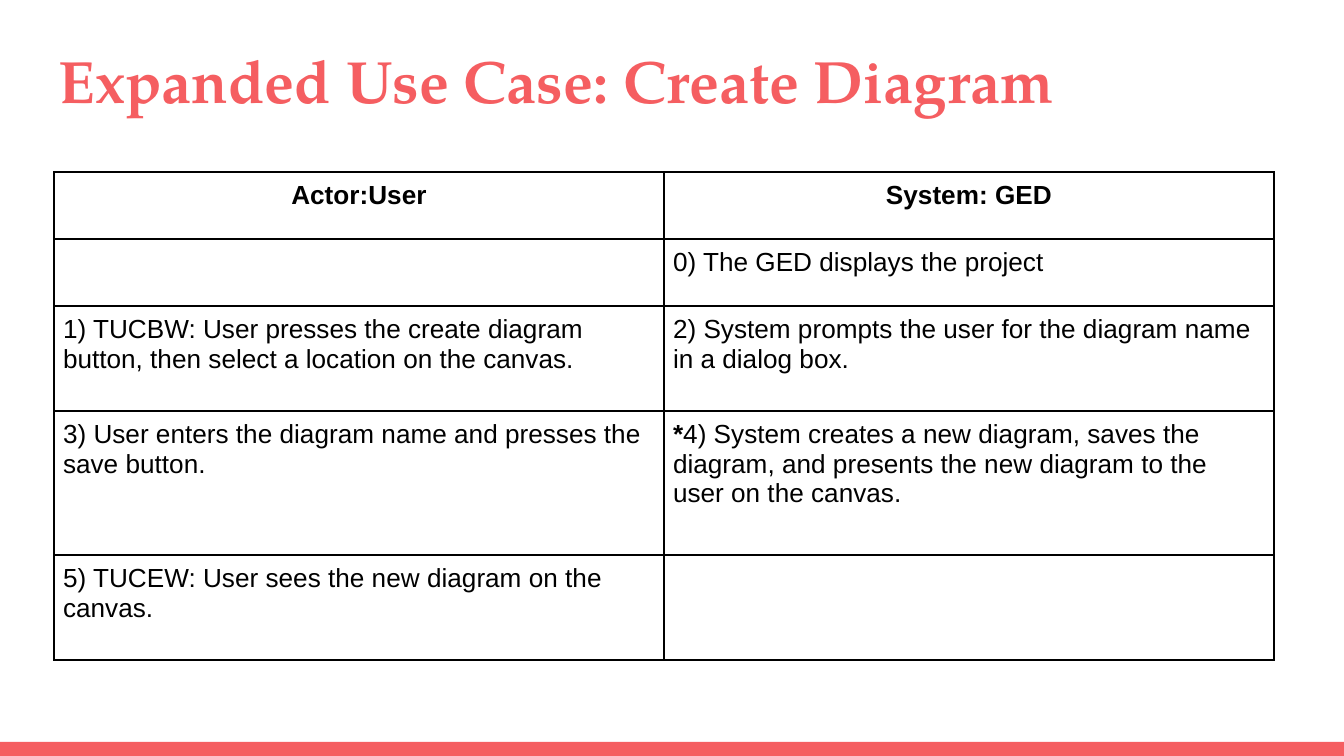
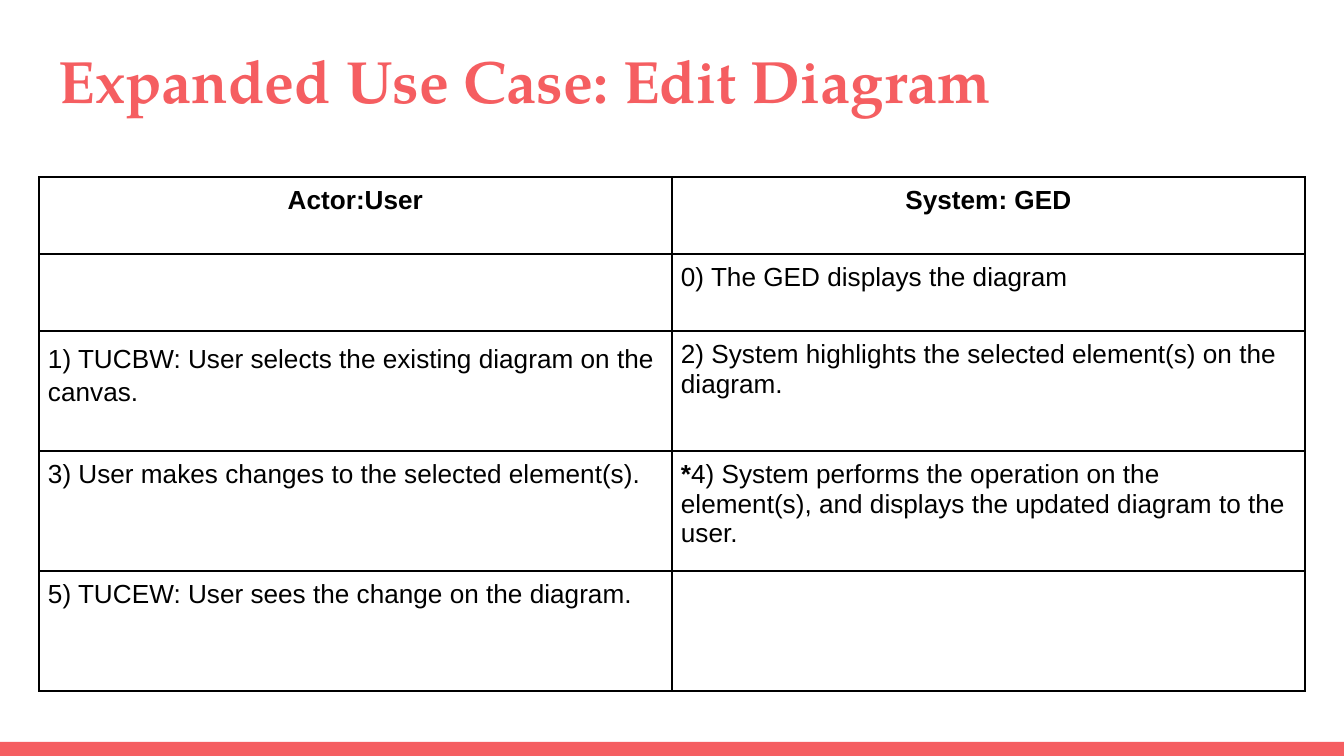
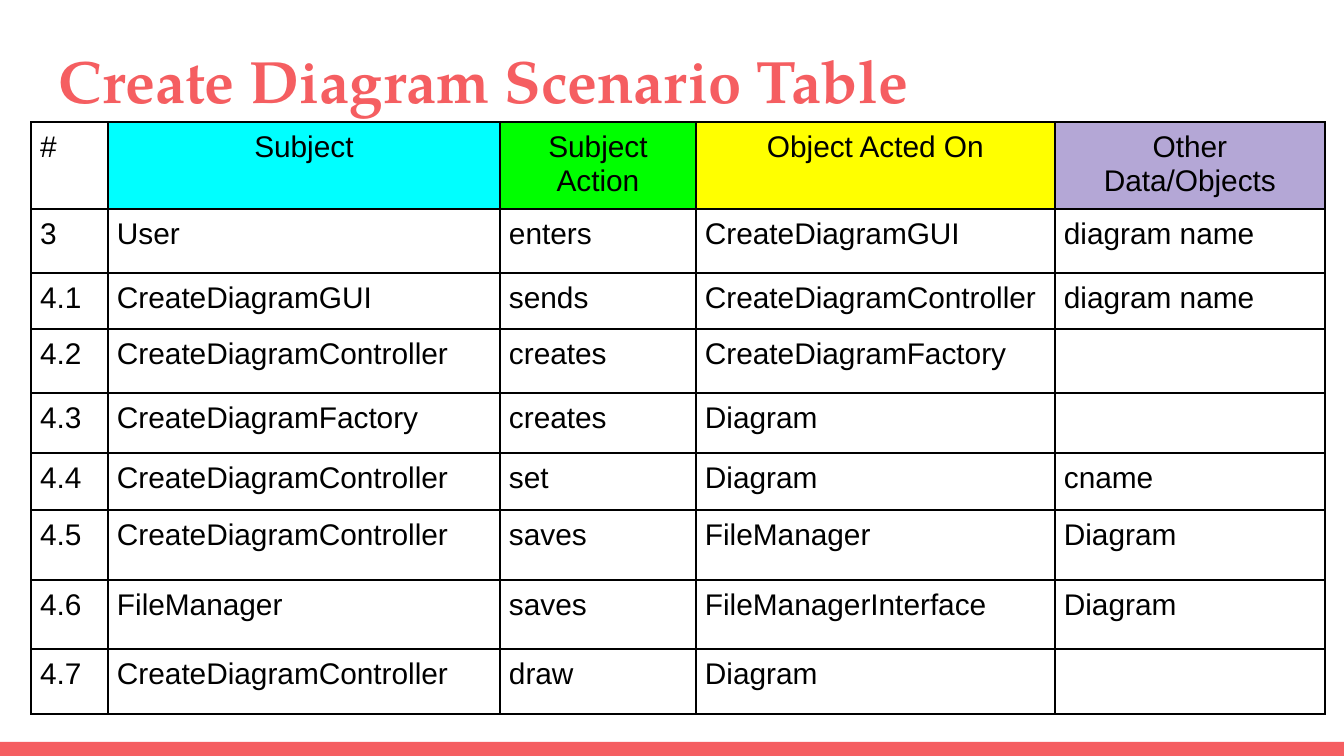
"""Build three slides of use case and scenario tables for a diagram editor."""
import pptx
import pptx.dml.color
import pptx.enum.shapes
import pptx.enum.text
import pptx.oxml
import pptx.oxml.ns
import pptx.util

RGB = pptx.dml.color.RGBColor
CORAL = RGB(0xF5, 0x5E, 0x61)
BLACK = RGB(0x00, 0x00, 0x00)
CYAN = RGB(0x00, 0xFF, 0xFF)
GREEN = RGB(0x00, 0xFF, 0x00)
YELLOW = RGB(0xFF, 0xFF, 0x00)
LILAC = RGB(0xB4, 0xA7, 0xD6)

ALIGN = pptx.enum.text.PP_ALIGN
ANCHOR = pptx.enum.text.MSO_ANCHOR
FIT = pptx.enum.text.MSO_AUTO_SIZE
SIDES = ("left", "top", "width", "height")
EDGES = ("margin_left", "margin_top", "margin_right", "margin_bottom")
WIDE, HIGH, BAND = 1344, 756, 14

HEAD = ("Actor:User", "System: GED")
CREATE = (
    HEAD,
    ("", "0) The GED displays the project"),
    ("1) TUCBW: User presses the create diagram button, then select a location on the canvas.",
     "2) System prompts the user for the diagram name in a dialog box."),
    ("3) User enters the diagram name and presses the save button.",
     "*4) System creates a new diagram, saves the diagram, and presents the new diagram "
     "to the user on the canvas."),
    ("5) TUCEW: User sees the new diagram on the canvas.", ""),
)
EDIT = (
    HEAD,
    ("", "0) The GED displays the diagram"),
    ("1) TUCBW: User selects the existing diagram on the canvas.",
     "2) System highlights the selected element(s) on the diagram."),
    ("3) User makes changes to the selected element(s).",
     "*4) System performs the operation on the element(s), and displays the updated "
     "diagram to the user."),
    ("5) TUCEW: User sees the change on the diagram.", ""),
)
SCENE = (
    ("#", "Subject", "Subject Action", "Object Acted On", "Other Data/Objects"),
    ("3", "User", "enters", "CreateDiagramGUI", "diagram name"),
    ("4.1", "CreateDiagramGUI", "sends", "CreateDiagramController", "diagram name"),
    ("4.2", "CreateDiagramController", "creates", "CreateDiagramFactory", ""),
    ("4.3", "CreateDiagramFactory", "creates", "Diagram", ""),
    ("4.4", "CreateDiagramController", "set", "Diagram", "cname"),
    ("4.5", "CreateDiagramController", "saves", "FileManager", "Diagram"),
    ("4.6", "FileManager", "saves", "FileManagerInterface", "Diagram"),
    ("4.7", "CreateDiagramController", "draw", "Diagram", ""),
)


def px(size):
    """Turn px into EMU."""
    return pptx.util.Emu(round(size * 914400 / 134.4))


def put(item, values):
    """Set each attribute of the item from a dict."""
    for name, value in values.items():
        setattr(item, name, value)


def style(font, name, size, color, bold):
    """Format a font."""
    put(font, {"name": name, "size": pptx.util.Pt(size), "bold": bold})
    font.color.rgb = color


def page(deck, text):
    """Add a slide with its title and bottom band."""
    slide = deck.slides.add_slide(deck.slide_layouts[5])
    title = slide.shapes.title
    put(title, dict(zip(SIDES, map(px, (46, 31, 1252, 91)))))
    frame = title.text_frame
    frame.text = text
    put(frame, {"vertical_anchor": ANCHOR.TOP, "auto_size": FIT.NONE, "word_wrap": True})
    put(frame, dict.fromkeys(EDGES, px(13)))
    line = frame.paragraphs[0]
    line.alignment = ALIGN.LEFT
    style(line.runs[0].font, "TeX Gyre Pagella", 32, CORAL, True)
    box = map(px, (0, HIGH - BAND, WIDE, BAND))
    band = slide.shapes.add_shape(pptx.enum.shapes.MSO_SHAPE.RECTANGLE, *box)
    band.shadow.inherit = False
    band.fill.solid()
    band.fill.fore_color.rgb = CORAL
    band.line.fill.background()
    return slide


def border(cell):
    """Draw thin black lines round a cell."""
    props = cell._tc.get_or_add_tcPr()
    for side in ("lnL", "lnR", "lnT", "lnB"):
        props.append(pptx.oxml.parse_xml(
            f'<a:{side} {pptx.oxml.ns.nsdecls("a")} w="12700"><a:solidFill>'
            f'<a:srgbClr val="{BLACK}"/></a:solidFill></a:{side}>'))


def write(cell, text, size, bold, align):
    """Fill a cell with text, its leading star in bold."""
    put(cell, dict.fromkeys(EDGES, px(9)))
    cell.vertical_anchor = ANCHOR.TOP
    line = cell.text_frame.paragraphs[0]
    line.alignment = align
    star = "*" if text.startswith("*") else ""
    for part, heavy in ((star, True), (text[len(star):], bold)):
        if part:
            run = line.add_run()
            run.text = part
            style(run.font, "Arial", size, BLACK, heavy)


def grid(slide, left, top, cols, rows, data, size, bold, fills):
    """Add a ruled table with a centred, optionally tinted head row."""
    box = map(px, (left, top, sum(cols), sum(rows)))
    table = slide.shapes.add_table(len(rows), len(cols), *box).table
    put(table, {"first_row": False, "horz_banding": False})
    for col, width in zip(table.columns, cols):
        col.width = px(width)
    for r, (high, texts) in enumerate(zip(rows, data)):
        table.rows[r].height = px(high)
        for c, text in enumerate(texts):
            cell = table.cell(r, c)
            head = r == 0
            align = ALIGN.CENTER if head and text != "#" else ALIGN.LEFT
            write(cell, text, size, bold and head, align)
            border(cell)
            if head and fills[c]:
                cell.fill.solid()
                cell.fill.fore_color.rgb = fills[c]
            else:
                cell.fill.background()
    return table


def main():
    """Build the deck and save it."""
    deck = pptx.Presentation()
    put(deck, {"slide_width": px(WIDE), "slide_height": px(HIGH)})
    plain = (None, None)

    slide = page(deck, "Expanded Use Case: Create Diagram")
    grid(slide, 54, 172, (610, 610), (67, 67, 105, 144, 105), CREATE, 14, True, plain)

    slide = page(deck, "Expanded Use Case: Edit Diagram")
    table = grid(slide, 39, 177, (633, 633), (77, 77, 120, 120, 120), EDIT, 14, True, plain)
    table.cell(2, 0).text_frame.paragraphs[0].line_spacing = 1.15

    slide = page(deck, "Create Diagram Scenario Table")
    grid(slide, 31, 122, (77, 392, 196, 359, 270), (87, 64, 56, 64, 60, 57, 70, 69, 65),
         SCENE, 16, False, (None, CYAN, GREEN, YELLOW, LILAC))

    deck.save("out.pptx")


if __name__ == "__main__":
    main()
